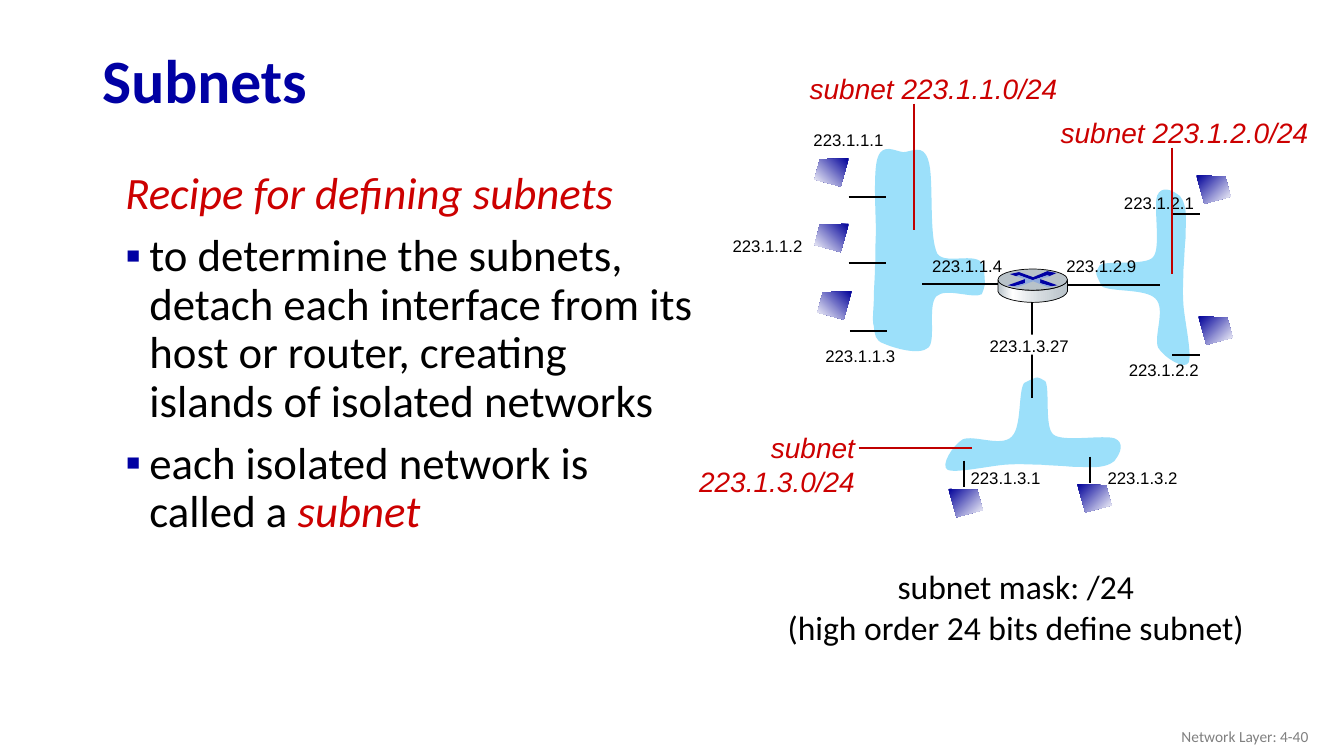
from lxml.etree import SubElement
from pptx import Presentation
from pptx.dml.color import RGBColor
from pptx.enum.shapes import MSO_CONNECTOR, MSO_SHAPE
from pptx.enum.text import MSO_ANCHOR, MSO_AUTO_SIZE, PP_ALIGN
from pptx.oxml.ns import qn
from pptx.util import Pt

BLUE, RED, RULE, BLACK = "0000A3", "CC0000", "C00000", "000000"
WHITE, SKY, STEEL = "FFFFFF", "9CE0FA", "B8C2C9"

# Curved outlines: a start, then three points for each curve
LOBE = [(3.6, 69.1), (10.1, 73.4), (34.6, 70.6), (41.8, 77.8),
        (49.7, 85), (40.3, 105.1), (43.9, 113), (48.2, 120.2), (62.6, 128.9), (65.5, 123.8),
        (68.4, 118.8), (62.6, 92.9), (61.9, 82.1), (61.2, 71.3), (61.9, 65.5), (61.9, 57.6),
        (62.6, 49.7), (62.6, 42.5), (63.4, 35.3), (63.4, 28.1), (64.1, 20.2), (63.4, 15.1),
        (62.6, 9.4), (60.5, 4.3), (56.9, 2.9), (54, 0.7), (46.1, -2.9), (43.2, 4.3),
        (40.3, 12.2), (46.1, 41.8), (40.3, 48.2), (35.3, 54.7), (7.2, 50.4), (2.2, 54),
        (-0.7, 59.8), (-2.2, 57.6), (3.6, 69.1)]
LEFT = [(702.7, 191.5), (701.3, 177.8), (676.1, 190.1), (669.6, 181.4),
        (663.1, 168.5), (667.4, 126.7), (663.1, 114.5), (659.5, 102.2), (650.9, 108.7), (645.1, 108.7),
        (639.4, 108), (630.7, 102.2), (627.1, 112.3), (623.5, 121.7), (625.7, 153.4), (625.7, 166.3),
        (625, 179.3), (625.7, 182.9), (625, 190.8), (625, 198.7), (624.2, 205.9), (624.2, 213.1),
        (624.2, 220.3), (622.8, 228.2), (624.2, 233.3), (625, 239), (625, 243.4), (631.4, 245.5),
        (637.9, 248.4), (656.6, 254.2), (663.1, 248.4), (668.9, 243.4), (662.4, 218.2), (668.9, 211.7),
        (675.4, 205.2), (695.5, 213.8), (701.3, 210.2), (703.4, 204.5), (704.2, 205.2), (702.7, 191.5)]
FRONT = [(762.5, 208.1), (761, 213.8), (746.6, 216), (738, 216),
         (729.4, 216), (714.2, 213.8), (712.8, 208.1)]
RIM = [(712.8, 200.2), (715, 205.2), (729.4, 207.4), (738, 207.4),
       (745.9, 207.4), (760.3, 205.9), (762.5, 200.2)]

# Router arrows
ARROWS = [
    (BLUE, [(748.1, 193.7), (754.6, 195.1), (749.5, 197.3), (748.1, 196.6), (737.3, 200.2),
            (727.9, 196.6), (725.8, 197.3), (721.4, 195.8), (727.9, 194.4), (738, 198)]),
    (BLUE, [(743, 199.4), (755.3, 203.8), (751, 204.5), (743, 202.3)]),
    ("0000A8", [(732.2, 199.4), (732.2, 202.3), (724.3, 204.5), (720, 203.8)]),
    ("8FAADC", [(725.8, 197.3), (727.9, 196.6), (738, 200.2), (748.1, 196.6), (750.2, 197.3),
                (743, 199.4), (743, 202.3), (751, 204.5), (748.8, 205.2), (738, 200.9),
                (726.5, 205.2), (724.3, 204.5), (732.2, 202.3), (732.2, 199.4)]),
]

LABELS = [("223.1.1.1", 574, 89.3), ("223.1.1.2", 516.2, 164.9), ("223.1.1.3", 582.5, 243.4),
          ("223.1.1.4", 658.8, 179.3), ("223.1.2.9", 754.6, 179.3), ("223.1.2.2", 799.2, 253.4),
          ("223.1.2.1", 795.8, 133.9), ("223.1.3.2", 784.1, 330.5), ("223.1.3.1", 686.2, 330.5),
          ("223.1.3.27", 699.8, 236.2)]
WIRES = [(606.2, 140.4, 632.9, 140.4), (606.2, 187.9, 632.9, 187.9), (607, 236.2, 633.6, 236.2),
         (836.6, 152.6, 857.5, 152.6), (837.4, 253.4, 857.5, 253.4),
         (688.3, 329, 688.3, 347.8), (778.3, 326.2, 778.3, 344.9),
         (658.8, 203, 721.4, 203), (751.7, 203.8, 828.7, 203.8)]
HOSTS = [(581.8, 113, True), (581.8, 159.8, True), (583.9, 208, True),
         (854.6, 125.3, False), (856, 226, False), (769.5, 345.8, False), (677.5, 349.2, False)]


def color(code):
    return RGBColor.from_string(code)


def paint(shape, fill, edge=None):
    shape.shadow.inherit = False
    shape.fill.solid()
    shape.fill.fore_color.rgb = color(fill)
    if edge:
        shape.line.color.rgb = color(edge)
        shape.line.width = Pt(0.5)
    else:
        shape.line.fill.background()
    return shape


def blend(shape, stops, angle):
    shape.fill.gradient()
    shape.fill.gradient_angle = angle
    stop_list = shape._element.spPr.find(qn("a:gradFill")).find(qn("a:gsLst"))
    for old in list(stop_list):
        stop_list.remove(old)
    for pos, code in stops:
        stop = SubElement(stop_list, qn("a:gs"), pos=str(pos * 1000))
        SubElement(stop, qn("a:srgbClr"), val=code)


def outline(slide, pts, fill, edge=None):
    spots = [(Pt(x), Pt(y)) for x, y in pts]
    form = slide.shapes.build_freeform(*spots[0])
    form.add_line_segments(spots[1:], close=True)
    return paint(form.convert_to_shape(), fill, edge)


def curved(slide, pts, fill, edge=None):
    shape = outline(slide, pts, fill, edge)
    # Join each three line ends into one Bezier curve
    legs = list(shape._element.spPr.iter(qn("a:lnTo")))
    for i in range(0, len(legs), 3):
        first = legs[i]
        first.tag = qn("a:cubicBezTo")
        for leg in legs[i + 1:i + 3]:
            first.append(leg[0])
            leg.getparent().remove(leg)
    return shape


def preset(slide, kind, box, fill, edge=None):
    return paint(slide.shapes.add_shape(kind, *map(Pt, box)), fill, edge)


def wire(slide, ends, code=BLACK):
    line = slide.shapes.add_connector(MSO_CONNECTOR.STRAIGHT, *map(Pt, ends))
    line.line.color.rgb = color(code)
    line.line.width = Pt(1.5)
    SubElement(line._element.spPr, qn("a:effectLst"))


def add_run(para, text, size, font, code, bold=False, slant=False):
    run = para.add_run()
    run.text = text
    run.font.size, run.font.name = Pt(size), font
    run.font.bold, run.font.italic = bold, slant
    run.font.color.rgb = color(code)


def text(slide, box, lines, size, font, code, align=PP_ALIGN.LEFT, slant=False, anchor=MSO_ANCHOR.TOP):
    frame = slide.shapes.add_textbox(*map(Pt, box)).text_frame
    frame.word_wrap = False
    frame.vertical_anchor = anchor
    for i, line in enumerate(lines):
        para = frame.add_paragraph() if i else frame.paragraphs[0]
        para.alignment = align
        add_run(para, line, size, font, code, slant=slant)


def title(slide):
    head = slide.shapes.title
    head.left, head.top, head.width, head.height = map(Pt, (65.8, 24.5, 828, 70.6))
    frame = head.text_frame
    frame.auto_size = MSO_AUTO_SIZE.NONE
    frame.vertical_anchor = MSO_ANCHOR.MIDDLE
    para = frame.paragraphs[0]
    para.alignment, para.line_spacing = PP_ALIGN.LEFT, 0.9
    add_run(para, "Subnets", 44, "Calibri", BLUE, bold=True)


def recipe(slide):
    frame = slide.shapes.add_textbox(Pt(71.6), Pt(118.4), Pt(433.4), Pt(392.4)).text_frame
    frame.word_wrap = True
    items = [[("Recipe for defining subnets", True)],
             [("to determine the subnets, detach each interface from its host or router, "
               "creating islands of isolated networks", False)],
             [("each isolated network is called a ", False), ("subnet", True)]]
    for i, parts in enumerate(items):
        para = frame.add_paragraph() if i else frame.paragraphs[0]
        props = para._p.get_or_add_pPr()
        props.set("marL", str(Pt(28)))
        props.set("indent", str(-Pt(17.2)))
        if i:
            tint = SubElement(props, qn("a:buClr"))
            SubElement(tint, qn("a:srgbClr"), val=BLUE)
            SubElement(props, qn("a:buFont"), typeface="Arial")
            SubElement(props, qn("a:buChar"), char="▪")
            para.space_before = Pt(10)
        para.line_spacing = 0.9
        for words, key in parts:
            add_run(para, words, 32, "Calibri", RED if key else BLACK, slant=key)


def host(slide, x, y, flip):
    pts = [(0, 0), (20.7, 0.8), (24.5, 15.2), (5.8, 20.2)]
    shape = outline(slide, [(x + (24.5 - u if flip else u), y + v) for u, v in pts], WHITE)
    blend(shape, [(0, "000099"), (100, WHITE)], 225 if flip else 315)


def router(slide):
    # The straight left side counts as one more curve
    side = curved(slide, FRONT + [FRONT[-1], RIM[0]] + RIM, STEEL, BLACK)
    blend(side, [(0, STEEL), (21, WHITE), (60, "D6DCE0"), (100, STEEL)], 0)
    preset(slide, MSO_SHAPE.OVAL, (712.8, 192.2, 49.7, 15.1), STEEL, BLACK)
    for code, pts in ARROWS:
        outline(slide, pts, code)


def main():
    deck = Presentation()
    deck.slide_width, deck.slide_height = Pt(960), Pt(540)
    slide = deck.slides.add_slide(deck.slide_layouts[5])
    title(slide)
    text(slide, (725.8, 511.9, 216, 28.8), ["Network Layer: 4-40"], 11, "Calibri", "808080",
         PP_ALIGN.RIGHT, anchor=MSO_ANCHOR.MIDDLE)

    # Network clouds: the lower one is the right one turned
    curved(slide, [(800.6 - v, 270 + u) for u, v in LOBE], SKY)
    curved(slide, [(783.4 + u, 135.4 + v) for u, v in LOBE], SKY)
    curved(slide, LEFT, SKY)

    # Wires and addresses
    wire(slide, (737.3, 215.3, 737.3, 284.4))
    for mask in [(523.4, 170.6, 65.5, 14.4), (704.2, 239, 67, 14.4)]:
        preset(slide, MSO_SHAPE.RECTANGLE, mask, WHITE)
    for words, x, y in LABELS:
        text(slide, (x, y, 7.2 * len(words), 21.6), [words], 12, "Arial", BLACK)
    for ends in WIRES:
        wire(slide, ends)
    recipe(slide)

    # Hosts and router
    for spot in HOSTS:
        host(slide, *spot)
    router(slide)

    # Subnet mask and callouts
    text(slide, (553.9, 401, 343.4, 65.5), ["subnet mask: /24", "(high order 24 bits define subnet)"],
         24, "Calibri", BLACK, PP_ALIGN.CENTER)
    text(slide, (491.2, 304, 126.7, 55.4), ["subnet", "223.1.3.0/24"], 20, "Arial", RED,
         PP_ALIGN.RIGHT, slant=True)
    wire(slide, (613.4, 319.7, 694.1, 319.7), RULE)
    for words, x, y, mid in [("subnet 223.1.1.0/24", 571.2, 47.5, 653),
                             ("subnet 223.1.2.0/24", 750.5, 78.8, 837.4)]:
        text(slide, (x, y, 195.8, 31.7), [words], 20, "Arial", RED, slant=True)
        wire(slide, (mid, y + 26.6, mid, y + 116.6), RULE)

    deck.save("out.pptx")


if __name__ == "__main__":
    main()
